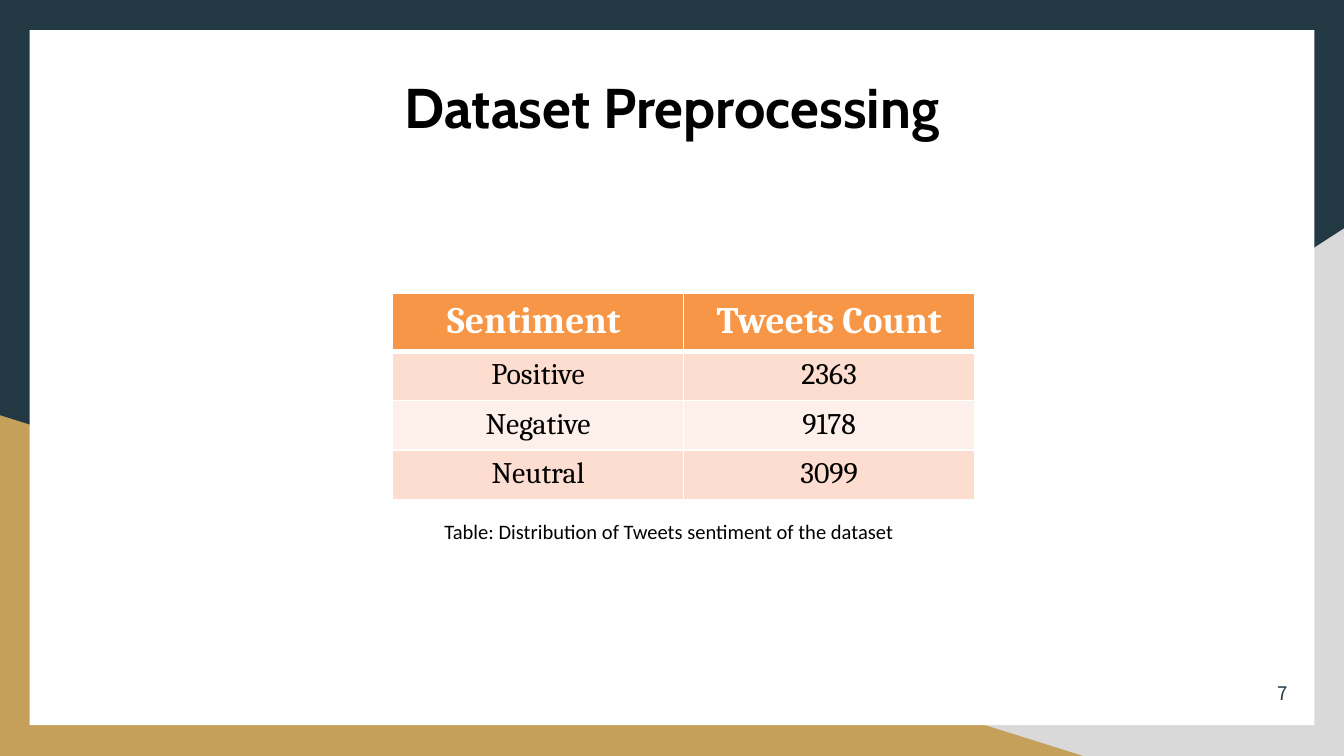
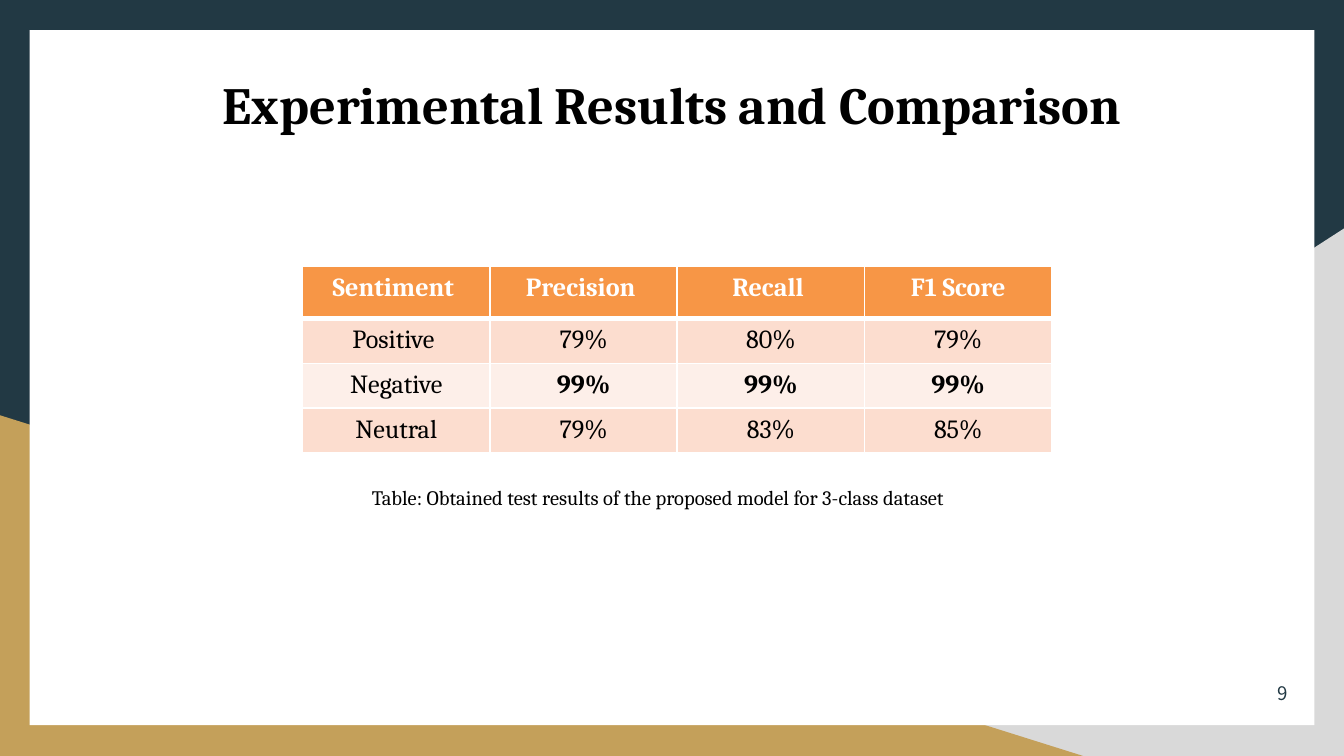
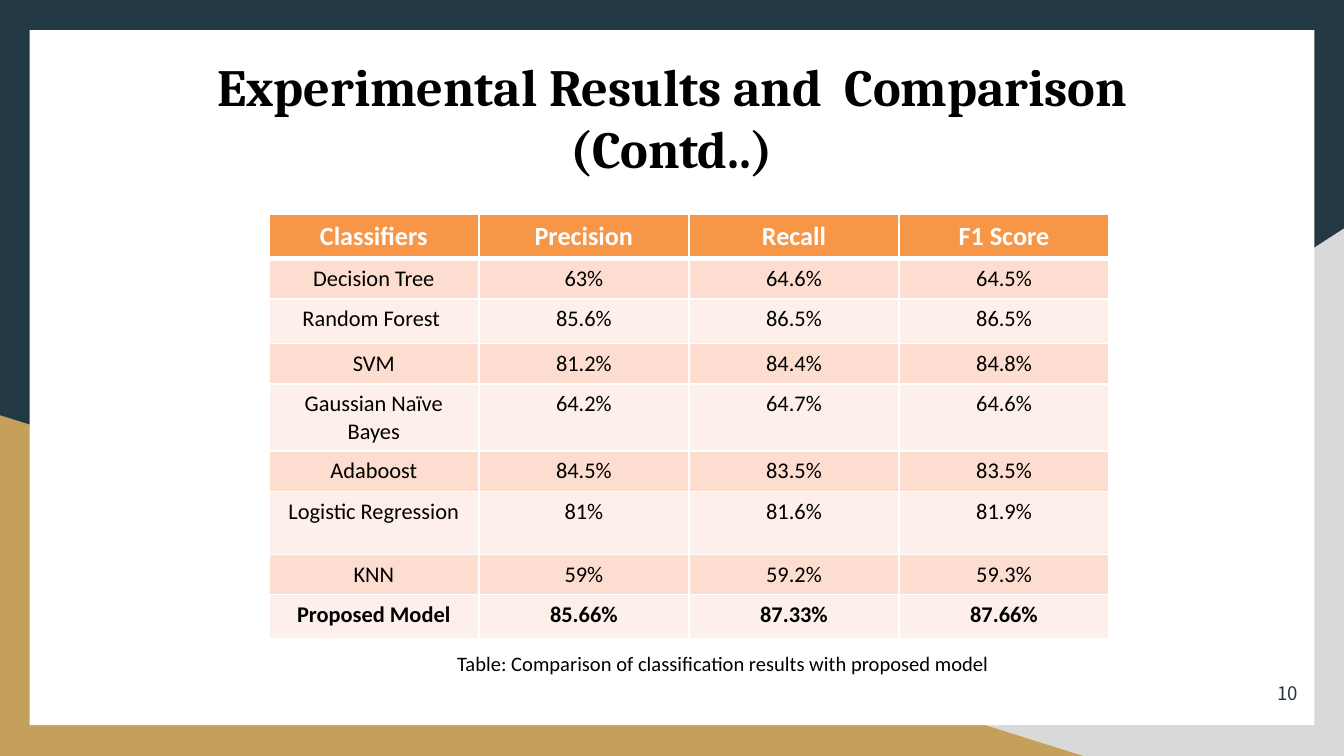
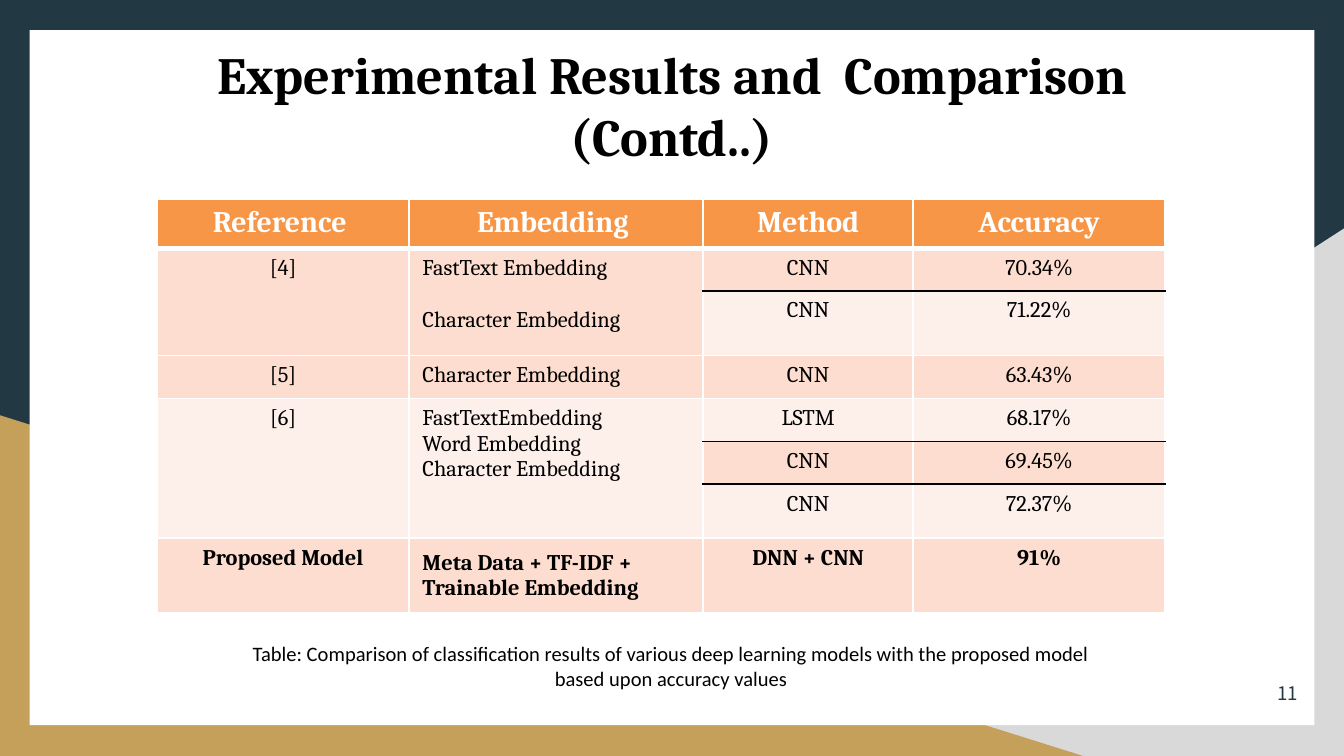
from lxml import etree
from pptx import Presentation
from pptx.dml.color import RGBColor
from pptx.enum.shapes import MSO_SHAPE
from pptx.enum.text import MSO_ANCHOR, PP_ALIGN
from pptx.oxml.ns import qn
from pptx.util import Cm, Pt

RECTANGLE = MSO_SHAPE.RECTANGLE
LEFT, CENTER = PP_ALIGN.LEFT, PP_ALIGN.CENTER
TOP, MIDDLE = MSO_ANCHOR.TOP, MSO_ANCHOR.MIDDLE

NAVY = RGBColor(0x22, 0x39, 0x44)
GREY = RGBColor(0xD9, 0xD9, 0xD9)
GOLD = RGBColor(0xC4, 0xA0, 0x5A)
ORANGE = RGBColor(0xF7, 0x96, 0x46)
PEACH = RGBColor(0xFC, 0xDD, 0xCF)
CREAM = RGBColor(0xFD, 0xEF, 0xE9)
WHITE = RGBColor(0xFF, 0xFF, 0xFF)
BLACK = RGBColor(0, 0, 0)

SERIF, SANS, DISPLAY, NUMBER = "Cambria", "Calibri", "Cabin", "Noto Sans CJK KR"
WIDTH, HEIGHT = 25.4, 14.29


def write(para, text, font=SANS, size=11, color=BLACK, bold=False, align=LEFT, before=0):
    para.alignment = align
    para.space_before = Pt(before)
    span = para.add_run()
    span.text = text
    span.font.name = font
    span.font.size = Pt(size)
    span.font.bold = bold
    span.font.color.rgb = color
    return span


class Builder:
    def __init__(self):
        self.deck = Presentation()
        self.deck.slide_width, self.deck.slide_height = Cm(WIDTH), Cm(HEIGHT)
        self.page = None

    def paint(self, shape, color):
        shape.shadow.inherit = False
        shape.fill.solid()
        shape.fill.fore_color.rgb = color
        shape.line.fill.background()

    def rectangle(self, left, top, width, height, color):
        shape = self.page.shapes.add_shape(RECTANGLE, Cm(left), Cm(top), Cm(width), Cm(height))
        self.paint(shape, color)

    def polygon(self, corners, color):
        points = [(Cm(x), Cm(y)) for x, y in corners]
        outline = self.page.shapes.build_freeform(*points[0])
        outline.add_line_segments(points[1:], close=True)
        self.paint(outline.convert_to_shape(), color)

    def text(self, left, top, width, height, text, inset=True, wrap=True, **style):
        box = self.page.shapes.add_textbox(Cm(left), Cm(top), Cm(width), Cm(height))
        frame = box.text_frame
        frame.word_wrap = wrap
        if not inset:
            frame.margin_left = frame.margin_right = frame.margin_top = frame.margin_bottom = 0
        return write(frame.paragraphs[0], text, **style), frame.paragraphs[0]

    def start_page(self, number, title, title_top, title_height, font=SERIF, size=28):
        self.page = self.deck.slides.add_slide(self.deck.slide_layouts[6])
        self.rectangle(0, 0, WIDTH, HEIGHT, NAVY)
        self.polygon([(WIDTH, 4.32), (9.96, HEIGHT), (WIDTH, HEIGHT)], GREY)
        self.polygon([(0, 7.85), (0, HEIGHT), (20.47, HEIGHT)], GOLD)
        self.rectangle(0.56, 0.57, 24.28, 13.14, WHITE)
        self.text(2.12, title_top, 21.16, title_height, title, inset=False,
                  font=font, size=size, bold=True, align=CENTER)
        span, para = self.text(24.05, 12.88, 0.64, 0.56, str(number), inset=False,
                               font=NUMBER, size=10, color=NAVY, before=1.1)
        span.font._element.set("spc", "-10")
        para._p.get_or_add_pPr().set("marL", str(Cm(0.1)))

    def border(self, cell, side, color=WHITE, width=1):
        line = etree.SubElement(cell._tc.get_or_add_tcPr(), qn(f"a:ln{side}"), w=str(Pt(width)))
        fill = etree.SubElement(line, qn("a:solidFill"))
        etree.SubElement(fill, qn("a:srgbClr"), val=str(color))

    def cell(self, cell, text, fill, bottom, anchor=TOP, gap=0, edges=(WHITE, WHITE), **style):
        for side in "LR":
            self.border(cell, side)
        self.border(cell, "T", edges[0])
        self.border(cell, "B", edges[1], bottom)
        cell.fill.solid()
        cell.fill.fore_color.rgb = fill
        cell.vertical_anchor = anchor
        for index, line in enumerate(text.split("\n")):
            frame = cell.text_frame
            para = frame.add_paragraph() if index else frame.paragraphs[0]
            write(para, line, before=gap if index else 0, **style)

    def table(self, left, top, widths, heights, rows, font, head_size, size,
              bold=(), left_column=None, spans=(), gaps=None, middle=()):
        graphic = self.page.shapes.add_table(len(rows), len(widths), Cm(left), Cm(top),
                                             Cm(sum(widths)), Cm(sum(heights)))
        table = graphic.table
        for column, width in zip(table.columns, widths):
            column.width = Cm(width)
        for row, height in zip(table.rows, heights):
            row.height = Cm(height)
        split_rows = {row for first, last in spans for row in range(first, last)}
        for row, texts in enumerate(rows):
            head = row == 0
            fill = ORANGE if head else PEACH if row % 2 else CREAM
            for column, text in enumerate(texts):
                split = column > 1
                edges = (BLACK if split and row - 1 in split_rows else WHITE,
                         BLACK if split and row in split_rows else WHITE)
                place = (row, column)
                self.cell(
                    table.cell(row, column), text, fill, 3 if head else 1, edges=edges,
                    anchor=MIDDLE if place in middle else TOP,
                    gap=(gaps or {}).get(place, 0),
                    font=font, size=head_size if head else size,
                    color=WHITE if head else BLACK, bold=head or place in bold,
                    align=LEFT if column == left_column and not head else CENTER)
        for first, last in spans:
            for column in range(2):
                table.cell(first, column).merge(table.cell(last, column))


def main():
    builder = Builder()

    builder.start_page(7, "Dataset Preprocessing", 1.37, 1.27, font=DISPLAY, size=30)
    builder.table(7.42, 5.54, [5.5] * 2, [0.99] + [0.84] * 3, [
        ("Sentiment ", "Tweets Count"),
        ("Positive", "2363"),
        ("Negative", "9178"),
        ("Neutral", "3099"),
    ], SERIF, 20, 16)
    builder.text(8.15, 9.68, 9.12, 0.74,
                 "Table: Distribution of Tweets sentiment of the dataset", wrap=False)

    builder.start_page(9, "Experimental Results and Comparison", 1.37, 2.49)
    builder.table(5.72, 5.03, [3.54] * 4, [0.99, 0.64, 0.56, 0.56], [
        ("Sentiment ", "Precision ", "Recall ", "F1 Score"),
        ("Positive ", "79%", "80%", "79%"),
        ("Negative", "99%", "99%", "99%"),
        ("Neutral", "79%", "83%", "85%"),
    ], SERIF, 14, 14, bold=[(2, column) for column in range(1, 4)])
    builder.text(6.78, 9.04, 13.34, 0.74,
                 "Table: Obtained test results of the proposed model for 3-class dataset", font=SERIF)

    continued = "Experimental Results and  Comparison (Contd..)"
    builder.start_page(10, continued, 1.02, 1.52)
    builder.table(5.08, 4.04, [3.97] * 4,
                  [0.69, 0.69, 0.84, 0.69, 1.19, 0.69, 1.19, 0.69, 0.84], [
        ("Classifiers", "Precision", "Recall", "F1 Score"),
        ("Decision Tree", "63%", "64.6%", "64.5%"),
        ("Random Forest ", "85.6%", "86.5%", "86.5%"),
        ("SVM", "81.2%", "84.4%", "84.8%"),
        ("Gaussian Naïve Bayes", "64.2%", "64.7%", "64.6%"),
        ("Adaboost", "84.5%", "83.5%", "83.5%"),
        ("Logistic Regression", "81%", "81.6%", "81.9%"),
        ("KNN", "59%", "59.2%", "59.3%"),
        ("Proposed Model", "85.66%", "87.33%", "87.66%"),
    ], SANS, 14, 12, bold=[(8, column) for column in range(4)])
    builder.text(6.78, 12.19, 13.77, 0.74,
                 "Table: Comparison of classification results with proposed model", align=CENTER)

    builder.start_page(11, continued, 0.79, 3.68)
    builder.table(2.97, 3.76, [4.76, 5.56, 3.97, 4.76],
                  [0.81, 0.81, 1.22, 0.81, 0.81, 0.81, 1.02, 1.42], [
        ("Reference ", "Embedding ", "Method", "Accuracy"),
        ("[4]", "FastText Embedding\nCharacter Embedding", "CNN", "70.34%"),
        ("", "", "CNN", "71.22%"),
        ("[5]", "Character Embedding", "CNN", "63.43%"),
        ("[6]", "FastTextEmbedding\nWord Embedding\nCharacter Embedding", "LSTM", "68.17%"),
        ("", "", "CNN", "69.45%"),
        ("", "", "CNN", "72.37%"),
        ("Proposed Model", "Meta Data + TF-IDF + Trainable Embedding", "DNN + CNN", "91%"),
    ], SERIF, 16, 12, bold=[(7, column) for column in range(4)], left_column=1,
        spans=[(1, 2), (4, 6)], gaps={(1, 1): 14}, middle=[(7, 1)])
    builder.text(4.11, 11.99, 17.15, 1.19,
                 "Table: Comparison of classification results of various deep learning models "
                 "with the proposed model based upon accuracy values", align=CENTER)

    builder.deck.save("out.pptx")


if __name__ == "__main__":
    main()
